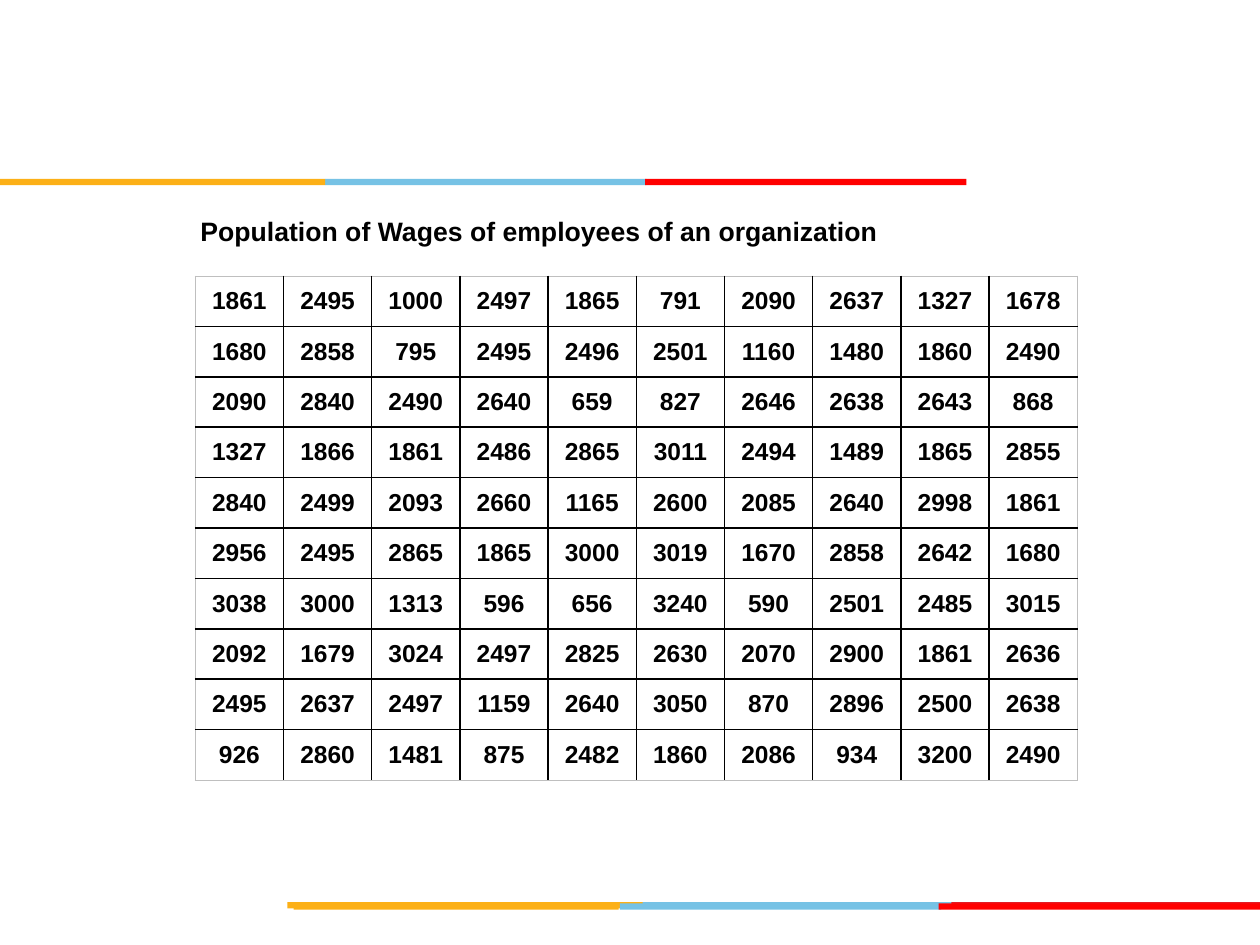
from dataclasses import dataclass

from lxml.etree import SubElement as Sub
from pptx import Presentation
from pptx.dml.color import RGBColor as RGB
from pptx.enum.shapes import MSO_SHAPE as Shape
from pptx.enum.text import MSO_ANCHOR as Anchor, PP_ALIGN as Align
from pptx.oxml.ns import qn
from pptx.util import Inches, Pt


@dataclass(frozen=True)
class Theme:
    font: str = "Arial"
    ink: str = "000000"
    edge: str = "BFBFBF"
    gold: str = "FCB017"
    blue: str = "76C2E5"
    red: str = "FF0000"
    dark: str = "E31C24"
    head: float = 15.2
    cell: float = 14
    rule: float = 1
    thin: float = 0.5


T = Theme()
BAR = 0.05
SIDE = 0.7
ROW = 0.4

# Bars as (left, width, colour), from back to front
BACK = [(5.06, 2.55, T.blue), (7.55, 2.45, T.dark), (2.28, 2.82, T.gold)]
FOOT = [(4.92, 2.55, T.blue), (2.33, 2.58, T.gold), (7.45, 2.55, T.red)]
TOP = [(2.58, 2.55, T.blue), (0, 2.58, T.gold), (5.12, 2.55, T.red)]

WAGES = """
1861 2495 1000 2497 1865 791 2090 2637 1327 1678
1680 2858 795 2495 2496 2501 1160 1480 1860 2490
2090 2840 2490 2640 659 827 2646 2638 2643 868
1327 1866 1861 2486 2865 3011 2494 1489 1865 2855
2840 2499 2093 2660 1165 2600 2085 2640 2998 1861
2956 2495 2865 1865 3000 3019 1670 2858 2642 1680
3038 3000 1313 596 656 3240 590 2501 2485 3015
2092 1679 3024 2497 2825 2630 2070 2900 1861 2636
2495 2637 2497 1159 2640 3050 870 2896 2500 2638
926 2860 1481 875 2482 1860 2086 934 3200 2490
"""


def style(para, size):
    for run in para.runs:
        run.font.name = T.font
        run.font.size = Pt(size)
        run.font.bold = True
        run.font.color.rgb = RGB.from_string(T.ink)


def inset(item, x, y):
    item.margin_left = item.margin_right = Inches(x)
    item.margin_top = item.margin_bottom = Inches(y)


def add_bars(slide, top, bars):
    for left, width, color in bars:
        bar = slide.shapes.add_shape(Shape.RECTANGLE, Inches(left), Inches(top),
                                     Inches(width), Inches(BAR))
        bar.shadow.inherit = False
        bar.fill.solid()
        bar.fill.fore_color.rgb = RGB.from_string(color)
        bar.line.fill.background()


def add_head(slide, text):
    box = slide.shapes.add_textbox(Inches(1.55), Inches(1.69),
                                   Inches(6.75), Inches(0.32))
    frame = box.text_frame
    frame.word_wrap = True
    frame.vertical_anchor = Anchor.MIDDLE
    inset(frame, 0.04, 0.02)
    frame.text = text
    para = frame.paragraphs[0]
    para.line_spacing = 0.9
    style(para, T.head)


def add_line(cell, side, outer):
    width = T.thin if outer else T.rule
    line = Sub(cell._tc.get_or_add_tcPr(), qn("a:ln" + side), w=str(Pt(width)))
    fill = Sub(line, qn("a:solidFill"))
    Sub(fill, qn("a:srgbClr"), val=T.edge if outer else T.ink)


def add_grid(slide, data):
    rows, cols = len(data), len(data[0])
    grid = slide.shapes.add_table(rows, cols, Inches(1.55), Inches(2.19),
                                  Inches(cols * SIDE), Inches(rows * ROW)).table
    grid.first_row = grid.horz_banding = False
    for col in grid.columns:
        col.width = Inches(SIDE)
    for row in grid.rows:
        row.height = Inches(ROW)
    for y, line in enumerate(data):
        for x, text in enumerate(line):
            cell = grid.cell(y, x)
            cell.text_frame.text = text
            cell.vertical_anchor = Anchor.MIDDLE
            inset(cell, 0.07, 0.03)
            para = cell.text_frame.paragraphs[0]
            para.alignment = Align.CENTER
            style(para, T.cell)
            # Light outer frame, dark inner rules
            for side, outer in (("L", x == 0), ("R", x == cols - 1),
                                ("T", y == 0), ("B", y == rows - 1)):
                add_line(cell, side, outer)
            cell.fill.background()


def main():
    deck = Presentation()
    deck.slide_width, deck.slide_height = Inches(10), Inches(7.5)
    slide = deck.slides.add_slide(deck.slide_layouts[6])
    # Colour bands
    add_bars(slide, 7.16, BACK)
    add_bars(slide, 7.17, FOOT)
    add_bars(slide, 1.42, TOP)
    # Wage table and its heading
    add_grid(slide, [line.split() for line in WAGES.strip().splitlines()])
    add_head(slide, "Population of Wages of employees of an organization")
    deck.save("out.pptx")


main()
